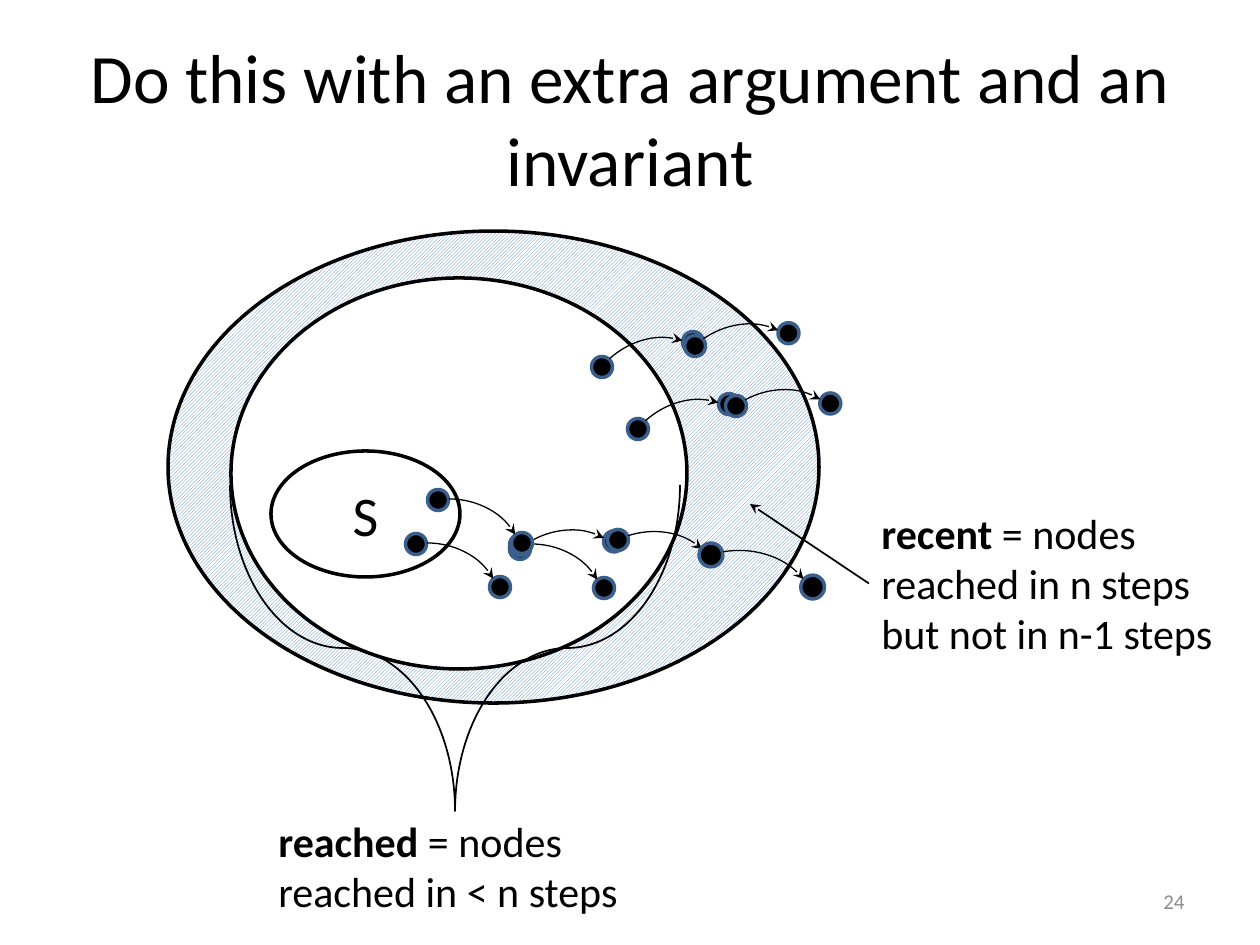
from math import cos, radians, sin

from lxml import etree
from pptx import Presentation
from pptx.dml.color import RGBColor
from pptx.enum.dml import MSO_PATTERN
from pptx.enum.shapes import MSO_CONNECTOR, MSO_SHAPE
from pptx.enum.text import MSO_ANCHOR, PP_ALIGN
from pptx.oxml.ns import qn
from pptx.util import Pt

OVAL, ARC, BRACE = MSO_SHAPE.OVAL, MSO_SHAPE.ARC, MSO_SHAPE.RIGHT_BRACE
HATCH = MSO_PATTERN.LIGHT_UPWARD_DIAGONAL
LINE = MSO_CONNECTOR.STRAIGHT
MIDDLE, TOP = MSO_ANCHOR.MIDDLE, MSO_ANCHOR.TOP
LEFT, CENTER, RIGHT = PP_ALIGN.LEFT, PP_ALIGN.CENTER, PP_ALIGN.RIGHT
BLACK = RGBColor(0x00, 0x00, 0x00)
WHITE = RGBColor(0xFF, 0xFF, 0xFF)
BLUE = RGBColor(0x4F, 0x81, 0xBD)
NAVY = RGBColor(0x3A, 0x5F, 0x8C)
GRAY = RGBColor(0x8C, 0x8C, 0x8C)
PX = 914400 / 126

deck = Presentation()
deck.slide_width, deck.slide_height = round(1260 * PX), round(945 * PX)
slide = deck.slides.add_slide(deck.slide_layouts[6])
shapes = slide.shapes


def draw(kind, box, fill, color, width):
    shape = shapes.add_shape(kind, *[round(n * PX) for n in box])
    shape.shadow.inherit = False
    if fill is None:
        shape.fill.background()
    else:
        shape.fill.solid()
        shape.fill.fore_color.rgb = fill
    shape.line.color.rgb = color
    shape.line.width = Pt(width)
    return shape


def style(shape, parts, size, color, align, anchor):
    frame = shape.text_frame
    frame.word_wrap = True
    frame.vertical_anchor = anchor
    para = frame.paragraphs[0]
    para.alignment = align
    for text, bold in parts:
        run = para.add_run()
        run.text = text
        run.font.name = "Calibri"
        run.font.size = Pt(size)
        run.font.bold = bold
        run.font.color.rgb = color


outer = draw(OVAL, (168, 231, 651, 472), WHITE, BLACK, 2)
outer.fill.patterned()
outer.fill.pattern = HATCH
outer.fill.fore_color.rgb = BLUE
outer.fill.back_color.rgb = WHITE
draw(OVAL, (231, 278, 456, 391), WHITE, BLACK, 2)
start = draw(OVAL, (271, 451, 189, 126), WHITE, BLACK, 2)
style(start, [("S", False)], 32, BLACK, CENTER, MIDDLE)

tips = []
steps = [
    (638, 429, -42.4, 1),
    (520, 549, -31.7, 1),
    (520, 545, 0, 1),
    (618, 540, -18, 1),
    (602, 367, -42.4, 1),
    (695, 346, -34.9, 1),
    (736, 406, -28.6, 1),
    (711, 555, -9.6, 1.13),
    (438, 500, 0, 1),
    (416, 544, 0, 1),
]
parts = [
    (OVAL, 0, 0, 21, 21),
    (OVAL, 84, 43, 21, 21),
    (ARC, 11, 62, 147, 126),
]
for x, y, angle, zoom in steps:
    c, s = cos(radians(angle)), sin(radians(angle))
    for kind, dx, dy, w, h in parts:
        w, h = w * zoom, h * zoom
        left = x + zoom * (dx * c - dy * s) - w / 2
        top = y + zoom * (dx * s + dy * c) - h / 2
        if kind == ARC:
            part = draw(ARC, (left, top, w, h), None, BLACK, 0.75)
            part.adjustments[0] = 162
            part.adjustments[1] = 202.55
            tips.append(part)
        else:
            part = draw(OVAL, (left, top, w, h), BLACK, NAVY, 2)
        part.rotation = angle

brace = draw(BRACE, (292, 423, 326, 450), None, BLACK, 1)
brace.rotation = 90
brace.adjustments[0] = 0.35

title = [("Do this with an extra argument and an invariant", False)]
reached = [("reached", True), (" = nodes reached in < n steps", False)]
recent = [("recent", True), (" = nodes reached in n steps but not in n-1 steps", False)]
labels = [
    ((63, 38, 1134, 158), title, 39.6, BLACK, CENTER, MIDDLE),
    ((903, 876, 294, 50), [("24", False)], 12, GRAY, RIGHT, MIDDLE),
    ((266, 809, 392, 115), reached, 24, BLACK, LEFT, TOP),
    ((869, 501, 391, 165), recent, 24, BLACK, LEFT, TOP),
]
for box, *look in labels:
    label = shapes.add_textbox(*[round(n * PX) for n in box])
    style(label, *look)

arrow = shapes.add_connector(LINE, 0, 0, round(750 * PX), round(504 * PX))
arrow.begin_connect(label, 1)
arrow.line.color.rgb = BLACK
arrow.line.width = Pt(1)
etree.SubElement(arrow.element.spPr, qn("a:effectLst"))
tips.append(arrow)

for tip in tips:
    line = tip.element.spPr.find(qn("a:ln"))
    etree.SubElement(line, qn("a:tailEnd"), type="stealth")

deck.save("out.pptx")
